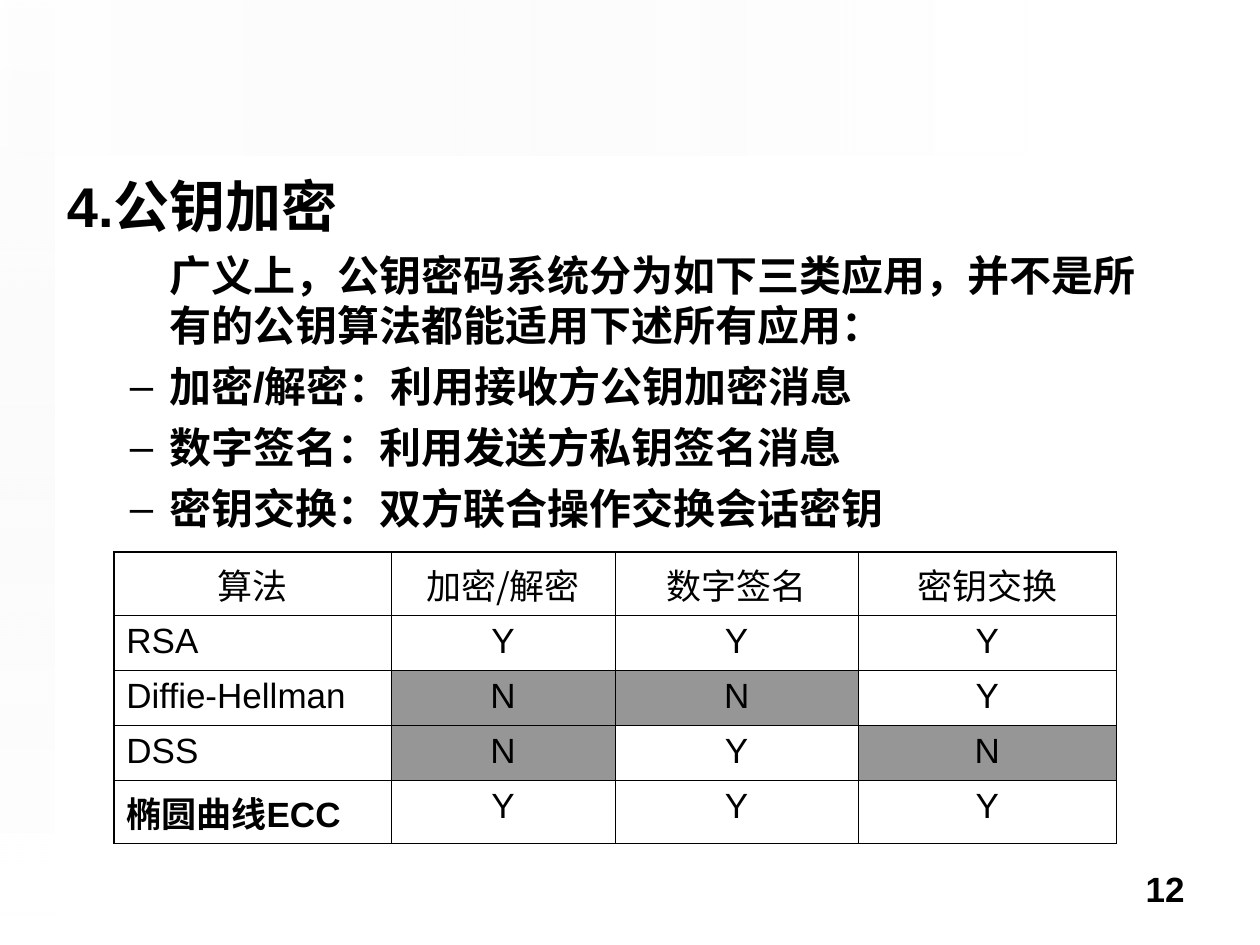
from lxml.etree import SubElement
from pptx import Presentation
from pptx.dml.color import RGBColor
from pptx.enum.shapes import MSO_SHAPE
from pptx.enum.text import MSO_ANCHOR, MSO_AUTO_SIZE, PP_ALIGN
from pptx.oxml.ns import qn
from pptx.util import Pt

LATIN, CHINESE = "Arial", "Noto Sans CJK SC"
BLACK, WHITE, GREY, PALE = "000000", "FFFFFF", "969696", "EAEAEA"
THIN, THICK = 0.45, 1.08

INTRODUCTION = "广义上，公钥密码系统分为如下三类应用，并不是所有的公钥算法都能适用下述所有应用："
ITEMS = [
    "加密/解密：利用接收方公钥加密消息",
    "数字签名：利用发送方私钥签名消息",
    "密钥交换：双方联合操作交换会话密钥",
]
ALGORITHMS = [
    ["算法", "加密/解密", "数字签名", "密钥交换"],
    ["RSA", "Y", "Y", "Y"],
    ["Diffie-Hellman", "N", "N", "Y"],
    ["DSS", "N", "Y", "N"],
    ["椭圆曲线ECC", "Y", "Y", "Y"],
]
COLUMN_WIDTHS = [158.5, 128, 139, 147.5]
ROW_HEIGHTS = [36.2, 31.4, 31.4, 31.4, 36.2]


def color(value):
    return RGBColor.from_string(value)


def write(para, text, size=20, bold=False, latin=LATIN, align=PP_ALIGN.LEFT, before=0):
    para.alignment = align
    para.space_before = Pt(before)
    span = para.add_run()
    span.text = text
    span.font.size = Pt(size)
    span.font.bold = bold
    span.font.name = latin
    span.font.color.rgb = color(BLACK)
    SubElement(span.font._element, qn("a:ea"), typeface=CHINESE)


def set_indent(para, left, first, bullet=None):
    properties = para._p.get_or_add_pPr()
    properties.set("marL", str(Pt(left)))
    properties.set("indent", str(Pt(first)))
    if bullet:
        bullet_color = SubElement(properties, qn("a:buClr"))
        SubElement(bullet_color, qn("a:srgbClr"), val=BLACK)
        SubElement(properties, qn("a:buFont"), typeface=LATIN)
        SubElement(properties, qn("a:buChar"), char=bullet)
    else:
        SubElement(properties, qn("a:buNone"))


def add_faded_band(page, left, top, width, height, rotation, opacity):
    band = page.shapes.add_shape(MSO_SHAPE.RECTANGLE, Pt(left), Pt(top), Pt(width), Pt(height))
    band.rotation = rotation
    band.shadow.inherit = False
    band.line.fill.background()
    band.fill.gradient()
    band.fill.gradient_angle = 90
    for stop, value, position in zip(band.fill.gradient_stops, (PALE, WHITE), (0, 1)):
        stop.color.rgb = color(value)
        stop.position = position
    for tone, alpha in zip(band._element.spPr.iter(qn("a:srgbClr")), (0, opacity)):
        SubElement(tone, qn("a:alpha"), val=str(alpha * 1000))


def fill_body(body):
    body.left, body.top, body.width, body.height = Pt(31), Pt(94.5), Pt(635), Pt(385)
    frame = body.text_frame
    frame.word_wrap = True
    frame.auto_size = MSO_AUTO_SIZE.NONE
    frame.vertical_anchor = MSO_ANCHOR.TOP

    heading = frame.paragraphs[0]
    set_indent(heading, 27, -27)
    write(heading, "4.公钥加密", size=32, bold=True)

    for text in [INTRODUCTION] + ITEMS:
        para = frame.add_paragraph()
        para.level = 1
        if text == INTRODUCTION:
            set_indent(para, 58.5, 0)
        else:
            set_indent(para, 58.5, -22.5, bullet="–")
        write(para, text, size=24, bold=True, before=6)


def set_borders(cell, widths):
    properties = cell._tc.get_or_add_tcPr()
    for side, width in widths.items():
        line = SubElement(properties, qn(f"a:ln{side}"), w=str(Pt(width)))
        fill = SubElement(line, qn("a:solidFill"))
        SubElement(fill, qn("a:srgbClr"), val=BLACK)


def add_algorithm_table(page):
    last_row, last_column = len(ALGORITHMS) - 1, len(COLUMN_WIDTHS) - 1
    table = page.shapes.add_table(
        len(ALGORITHMS), len(COLUMN_WIDTHS), Pt(65), Pt(315.5),
        Pt(sum(COLUMN_WIDTHS)), Pt(sum(ROW_HEIGHTS))).table
    table.first_row = table.horz_banding = False
    for column, width in zip(table.columns, COLUMN_WIDTHS):
        column.width = Pt(width)

    for r, row in enumerate(ALGORITHMS):
        table.rows[r].height = Pt(ROW_HEIGHTS[r])
        for c, text in enumerate(row):
            cell = table.cell(r, c)
            # Thick outer frame, thin inner rules
            outer = {"L": c == 0, "R": c == last_column, "T": r == 0, "B": r == last_row}
            set_borders(cell, {side: THICK if edge else THIN for side, edge in outer.items()})
            cell.fill.solid()
            cell.fill.fore_color.rgb = color(GREY if text == "N" else WHITE)
            write(cell.text_frame.paragraphs[0], text,
                  bold=r == last_row and c == 0,
                  latin=CHINESE if r == 0 else LATIN,
                  align=PP_ALIGN.LEFT if r and c == 0 else PP_ALIGN.CENTER)


def add_page_number(page, number):
    box = page.shapes.add_textbox(Pt(516), Pt(492), Pt(168), Pt(37))
    box.text_frame.word_wrap = True
    write(box.text_frame.paragraphs[0], number, bold=True, align=PP_ALIGN.RIGHT)


def main():
    deck = Presentation()
    deck.slide_width, deck.slide_height = Pt(720), Pt(540)
    page = deck.slides.add_slide(deck.slide_layouts[1])
    page.background.fill.solid()
    page.background.fill.fore_color.rgb = color(WHITE)
    title = page.shapes.title
    title._element.getparent().remove(title._element)

    # Faint bands along the top and left edges
    add_faded_band(page, 249, -249, 88.5, 587, rotation=90, opacity=49)
    add_faded_band(page, 0, 0, 31, 523, rotation=180, opacity=65)

    # Content
    add_page_number(page, "12")
    fill_body(page.placeholders[1])
    add_algorithm_table(page)
    deck.save("out.pptx")


if __name__ == "__main__":
    main()
